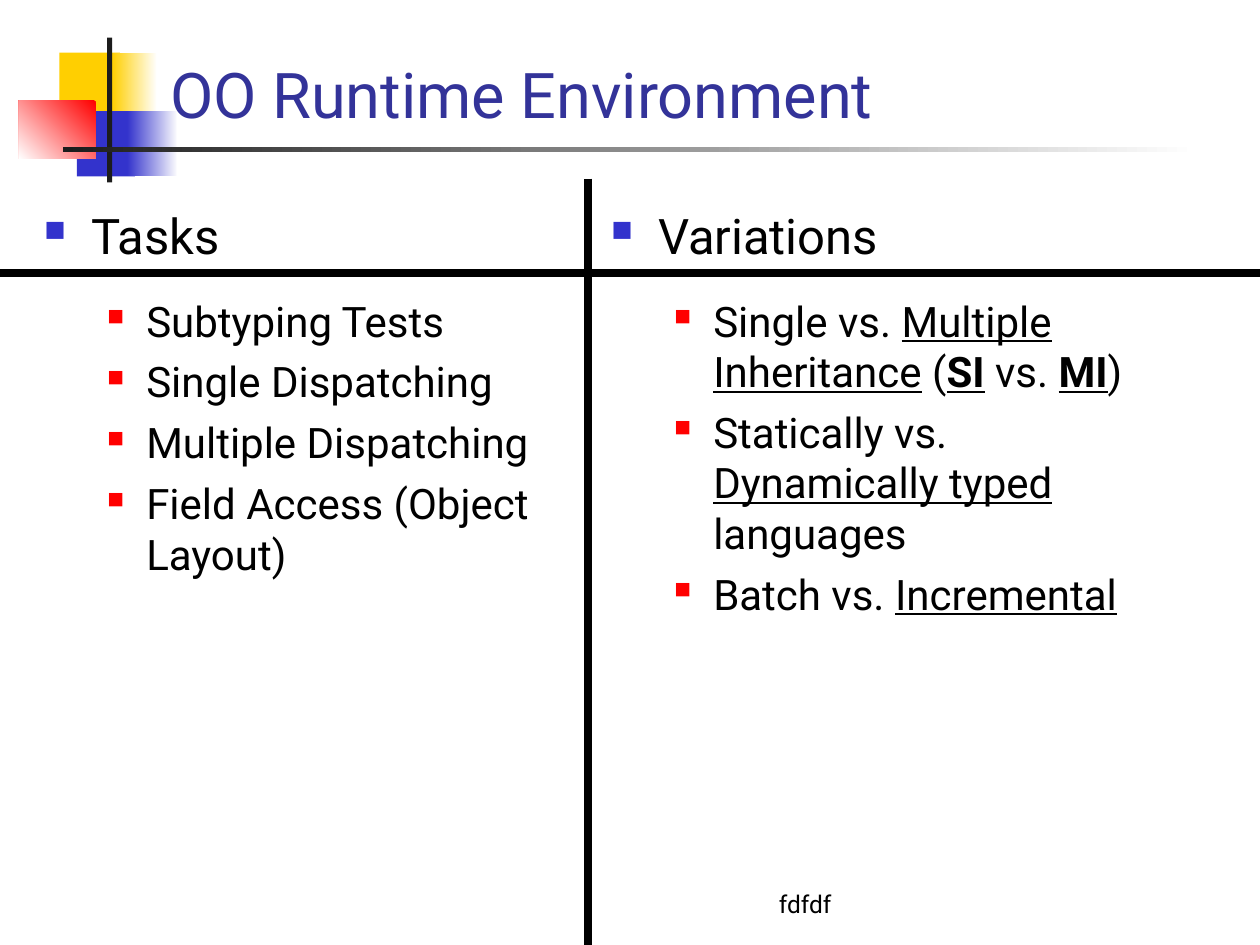
from lxml.etree import SubElement
from pptx import Presentation
from pptx.dml.color import RGBColor
from pptx.enum.shapes import MSO_CONNECTOR as Connector, MSO_SHAPE as Shape
from pptx.enum.text import MSO_ANCHOR as Anchor
from pptx.oxml.ns import qn
from pptx.util import Cm, Pt

WHITE = RGBColor(0xFF, 0xFF, 0xFF)
BLACK = RGBColor(0x00, 0x00, 0x00)
CHARCOAL = RGBColor(0x1C, 0x1C, 0x1C)
YELLOW = RGBColor(0xFF, 0xCF, 0x01)
BLUE = RGBColor(0x33, 0x33, 0xCC)
RED = RGBColor(0xFF, 0x00, 0x00)
NAVY = RGBColor(0x33, 0x33, 0x99)
FONT = "Roboto"

PLAIN, UNDERLINED, STRONG = (False, False), (False, True), (True, True)
TASKS = [
    [("Subtyping Tests", PLAIN)],
    [("Single Dispatching", PLAIN)],
    [("Multiple Dispatching", PLAIN)],
    [("Field Access (Object Layout)", PLAIN)],
]
VARIATIONS = [
    [("Single vs. ", PLAIN), ("Multiple Inheritance", UNDERLINED), (" (", PLAIN),
     ("SI", STRONG), (" vs. ", PLAIN), ("MI", STRONG), (")", PLAIN)],
    [("Statically vs. ", PLAIN), ("Dynamically typed", UNDERLINED),
     (" languages", PLAIN)],
    [("Batch vs. ", PLAIN), ("Incremental", UNDERLINED)],
]


def add_block(slide, left, top, width, height, colors, angle=180):
    block = slide.shapes.add_shape(
        Shape.RECTANGLE, Cm(left), Cm(top), Cm(width), Cm(height))
    block.shadow.inherit = False
    block.line.fill.background()
    if len(colors) == 1:
        block.fill.solid()
        block.fill.fore_color.rgb = colors[0]
        return
    block.fill.gradient()
    block.fill.gradient_angle = angle
    for stop, color in zip(block.fill.gradient_stops, colors):
        stop.color.rgb = color


def add_ornament(slide):
    add_block(slide, 1.2, 1.06, 1.22, 1.32, [YELLOW])
    add_block(slide, 2.26, 1.06, 0.91, 1.32, [WHITE, YELLOW])
    add_block(slide, 1.55, 2.24, 1.17, 1.32, [BLUE])
    add_block(slide, 2.57, 2.24, 1.02, 1.32, [WHITE, BLUE])
    add_block(slide, 0.38, 2.03, 1.55, 1.17, [RED, WHITE], 225)
    add_block(slide, 2.16, 0.76, 0.1, 2.92, [CHARCOAL])
    add_block(slide, 1.27, 2.97, 22.86, 0.1, [WHITE, CHARCOAL])


def add_frame(slide, left, top, width, height, anchor=Anchor.TOP):
    frame = slide.shapes.add_textbox(
        Cm(left), Cm(top), Cm(width), Cm(height)).text_frame
    frame.word_wrap = True
    frame.vertical_anchor = anchor
    return frame


def style(run, size, color=BLACK, emphasis=PLAIN):
    run.font.name = FONT
    run.font.size = Pt(size)
    run.font.color.rgb = color
    run.font.bold, run.font.underline = emphasis


def add_label(slide, box, text, size, color):
    frame = add_frame(slide, *box, Anchor.BOTTOM)
    frame.text = text
    style(frame.paragraphs[0].runs[0], size, color)


def set_bullet(paragraph, color, percent, margin, hanging):
    properties = paragraph._p.get_or_add_pPr()
    properties.set("marL", str(Cm(margin)))
    properties.set("indent", str(-Cm(hanging)))
    bullet_color = SubElement(properties, qn("a:buClr"))
    SubElement(bullet_color, qn("a:srgbClr"), val=str(color))
    SubElement(properties, qn("a:buSzPct"), val=str(percent * 1000))
    SubElement(properties, qn("a:buChar"), char="■")


def add_column(slide, left, width, heading, items):
    frame = add_frame(slide, left, 4.02, width, 13.77)
    frame.text = heading
    set_bullet(frame.paragraphs[0], BLUE, 60, 0.95, 0.95)
    style(frame.paragraphs[0].runs[0], 28)
    for index, pieces in enumerate(items):
        item = frame.add_paragraph()
        item.level = 1
        set_bullet(item, RED, 55, 2.06, 0.79)
        item.space_before = Pt(6 if index else 17.5)
        for text, emphasis in pieces:
            run = item.add_run()
            run.text = text
            style(run, 24, emphasis=emphasis)


def add_rule(slide, x1, y1, x2, y2):
    rule = slide.shapes.add_connector(
        Connector.STRAIGHT, Cm(x1), Cm(y1), Cm(x2), Cm(y2))
    rule.line.color.rgb = BLACK
    rule.line.width = Pt(4.5)
    SubElement(rule._element.spPr, qn("a:effectLst"))


def main():
    deck = Presentation()
    deck.slide_width, deck.slide_height = Cm(25.4), Cm(19.05)
    slide = deck.slides.add_slide(deck.slide_layouts[6])
    add_ornament(slide)
    add_label(slide, (3.18, 0.64, 21.38, 2.12), "OO Runtime Environment", 36, NAVY)
    add_column(slide, 0.64, 10.37, "Tasks", TASKS)
    add_column(slide, 12.07, 11.85, "Variations", VARIATIONS)
    add_rule(slide, 0, 5.5, 25.4, 5.5)
    add_rule(slide, 11.85, 3.6, 11.85, 19.05)
    add_label(slide, (15.45, 17.78, 9.1, 0.85), "fdfdf", 14, BLACK)
    deck.save("out.pptx")


if __name__ == "__main__":
    main()
